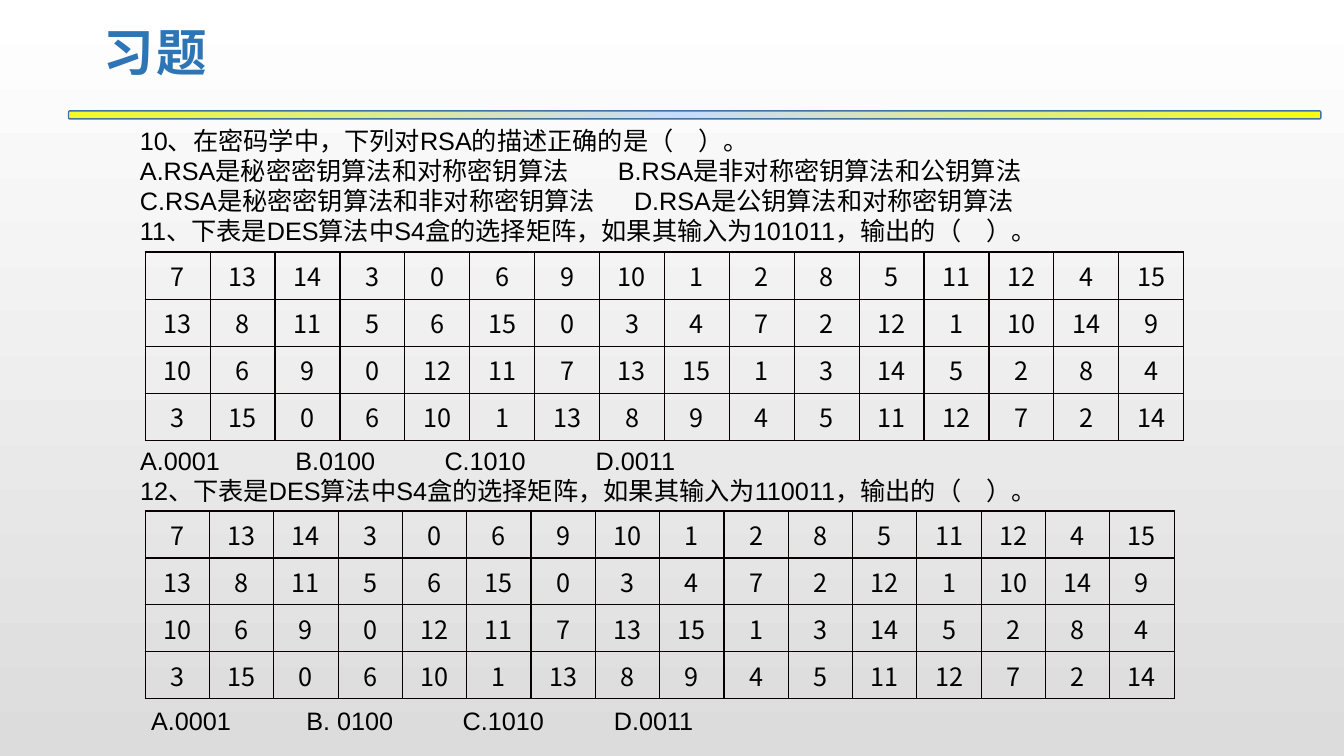
import copy
from dataclasses import dataclass

import lxml.etree
import pptx
import pptx.dml.color
import pptx.enum.shapes
import pptx.enum.text
import pptx.oxml.ns
import pptx.util

Inches = pptx.util.Inches
Pt = pptx.util.Pt
qn = pptx.oxml.ns.qn
PP_ALIGN = pptx.enum.text.PP_ALIGN
ANCHOR = pptx.enum.text.MSO_ANCHOR


@dataclass(frozen=True)
class Theme:
    latin: str = "Arial"
    cjk: str = "Noto Sans CJK SC"
    title_size: float = 36
    body_size: float = 18
    body_leading: float = 21.6
    title: str = "2E75B6"
    ink: str = "000000"
    grid: str = "080000"
    bar_line: str = "43739E"
    bar_stops: tuple = ((0, "FBFB11"), (0.51, "C6DCFF"), (1, "F7F923"))
    background_stops: tuple = ((0, "FFFFFF"), (1, "DCDCDC"))


THEME = Theme()

S4_BOX = (
    (7, 13, 14, 3, 0, 6, 9, 10, 1, 2, 8, 5, 11, 12, 4, 15),
    (13, 8, 11, 5, 6, 15, 0, 3, 4, 7, 2, 12, 1, 10, 14, 9),
    (10, 6, 9, 0, 12, 11, 7, 13, 15, 1, 3, 14, 5, 2, 8, 4),
    (3, 15, 0, 6, 10, 1, 13, 8, 9, 4, 5, 11, 12, 7, 2, 14),
)


def rgb(value):
    return pptx.dml.color.RGBColor.from_string(value)


def write(paragraph, text, *, size=THEME.body_size, color=THEME.ink, latin=THEME.latin,
          bold=False, spacing=0, leading=None, align=PP_ALIGN.LEFT, tabs=()):
    """Fill a paragraph; tabs are distances in inches from the text edge."""
    properties = paragraph._p.get_or_add_pPr()
    if tabs:
        tab_list = lxml.etree.SubElement(properties, qn("a:tabLst"))
        for position in tabs:
            lxml.etree.SubElement(tab_list, qn("a:tab"), pos=str(Inches(position)), algn="l")
    paragraph.alignment = align
    if leading:
        paragraph.line_spacing = Pt(leading)
    run = paragraph.add_run()
    run.text = text
    font = run.font
    font.size, font.bold, font.name = Pt(size), bold, latin
    font.color.rgb = rgb(color)
    run_properties = run._r.get_or_add_rPr()
    lxml.etree.SubElement(run_properties, qn("a:ea"), typeface=THEME.cjk)
    if spacing:
        run_properties.set("spc", str(spacing * 100))


def set_stops(fill, stops):
    for stop, (position, color) in zip(fill.gradient_stops, stops):
        stop.position = position
        stop.color.rgb = rgb(color)


def paint_background(slide):
    fill = slide.background.fill
    fill.gradient()
    fill.gradient_angle = 270
    set_stops(fill, THEME.background_stops)


def add_text_frame(slide, left, top, width, height):
    box = slide.shapes.add_textbox(Inches(left), Inches(top), Inches(width), Inches(height))
    box.text_frame.word_wrap = True
    return box.text_frame


def add_title(slide, left, top, width, height, text):
    frame = add_text_frame(slide, left, top, width, height)
    frame.vertical_anchor = ANCHOR.MIDDLE
    frame.margin_left, frame.margin_right = Inches(0.11), Inches(0.08)
    frame.margin_top = frame.margin_bottom = Inches(0.04)
    write(frame.paragraphs[0], text, size=THEME.title_size, color=THEME.title,
          bold=True, spacing=2)


def add_divider_bar(slide, left, top, width, height):
    bar = slide.shapes.add_shape(pptx.enum.shapes.MSO_SHAPE.ROUNDED_RECTANGLE,
                                 Inches(left), Inches(top), Inches(width), Inches(height))
    bar.shadow.inherit = False
    bar.line.color.rgb = rgb(THEME.bar_line)
    bar.line.width = Pt(1)
    bar.fill.gradient()
    gradient = bar._element.spPr.find(qn("a:gradFill"))
    stop_list = gradient.find(qn("a:gsLst"))
    stop_list.append(copy.deepcopy(stop_list[-1]))
    set_stops(bar.fill, THEME.bar_stops)
    gradient.remove(gradient.find(qn("a:lin")))
    radial = lxml.etree.Element(qn("a:path"), path="circle")
    lxml.etree.SubElement(radial, qn("a:fillToRect"), l="100000", t="100000")
    stop_list.addnext(radial)


def add_questions(slide, left, top, width, height, lines):
    """Place lines given as (text, tab positions)."""
    frame = add_text_frame(slide, left, top, width, height)
    for index, (text, tabs) in enumerate(lines):
        paragraph = frame.add_paragraph() if index else frame.paragraphs[0]
        write(paragraph, text, tabs=tabs, leading=THEME.body_leading)


def outline_cell(cell):
    properties = cell._tc.get_or_add_tcPr()
    for side in ("a:lnL", "a:lnR", "a:lnT", "a:lnB"):
        edge = lxml.etree.SubElement(properties, qn(side), w=str(Pt(1)))
        solid = lxml.etree.SubElement(edge, qn("a:solidFill"))
        lxml.etree.SubElement(solid, qn("a:srgbClr"), val=THEME.grid)


def add_matrix(slide, left, top, width, height, values):
    table = slide.shapes.add_table(len(values), len(values[0]), Inches(left), Inches(top),
                                   Inches(width), Inches(height)).table
    table.first_row = table.horz_banding = False
    for row, numbers in zip(table.rows, values):
        row.height = Inches(height / len(values))
        for cell, number in zip(row.cells, numbers):
            outline_cell(cell)
            cell.fill.background()
            cell.vertical_anchor = ANCHOR.MIDDLE
            cell.margin_left = cell.margin_right = Inches(0.07)
            cell.margin_top = cell.margin_bottom = 0
            write(cell.text_frame.paragraphs[0], str(number), latin=THEME.cjk,
                  align=PP_ALIGN.CENTER)
    for column in table.columns:
        column.width = Inches(width / len(values[0]))


def build_exercise_slide(slide):
    paint_background(slide)
    add_divider_bar(slide, 0.68, 1.1, 12.42, 0.08)
    add_title(slide, 0.92, 0.07, 11.5, 0.87, "习题")
    add_questions(slide, 1.29, 1.19, 10.76, 1.31, (
        ("10、在密码学中，下列对RSA的描述正确的是（　）。", ()),
        ("A.RSA是秘密密钥算法和对称密钥算法\tB.RSA是非对称密钥算法和公钥算法", (4.74,)),
        ("C.RSA是秘密密钥算法和非对称密钥算法\tD.RSA是公钥算法和对称密钥算法", (4.9,)),
        ("11、下表是DES算法中S4盒的选择矩阵，如果其输入为101011，输出的（　）。", ()),
    ))
    add_matrix(slide, 1.44, 2.5, 10.3, 1.87, S4_BOX)
    add_questions(slide, 1.29, 4.37, 10.85, 0.71, (
        ("A.0001\tB.0100\tC.1010\tD.0011", (1.54, 3.02, 4.52)),
        ("12、下表是DES算法中S4盒的选择矩阵，如果其输入为110011，输出的（　）。", ()),
    ))
    add_matrix(slide, 1.44, 5.07, 10.21, 1.86, S4_BOX)
    add_questions(slide, 1.4, 6.95, 10.37, 0.4, (
        ("A.0001\tB. 0100\tC.1010\tD.0011", (1.54, 3.09, 4.59)),
    ))


def main():
    deck = pptx.Presentation()
    deck.slide_width, deck.slide_height = Inches(13.33), Inches(7.5)
    build_exercise_slide(deck.slides.add_slide(deck.slide_layouts[6]))
    deck.save("out.pptx")


if __name__ == "__main__":
    main()
